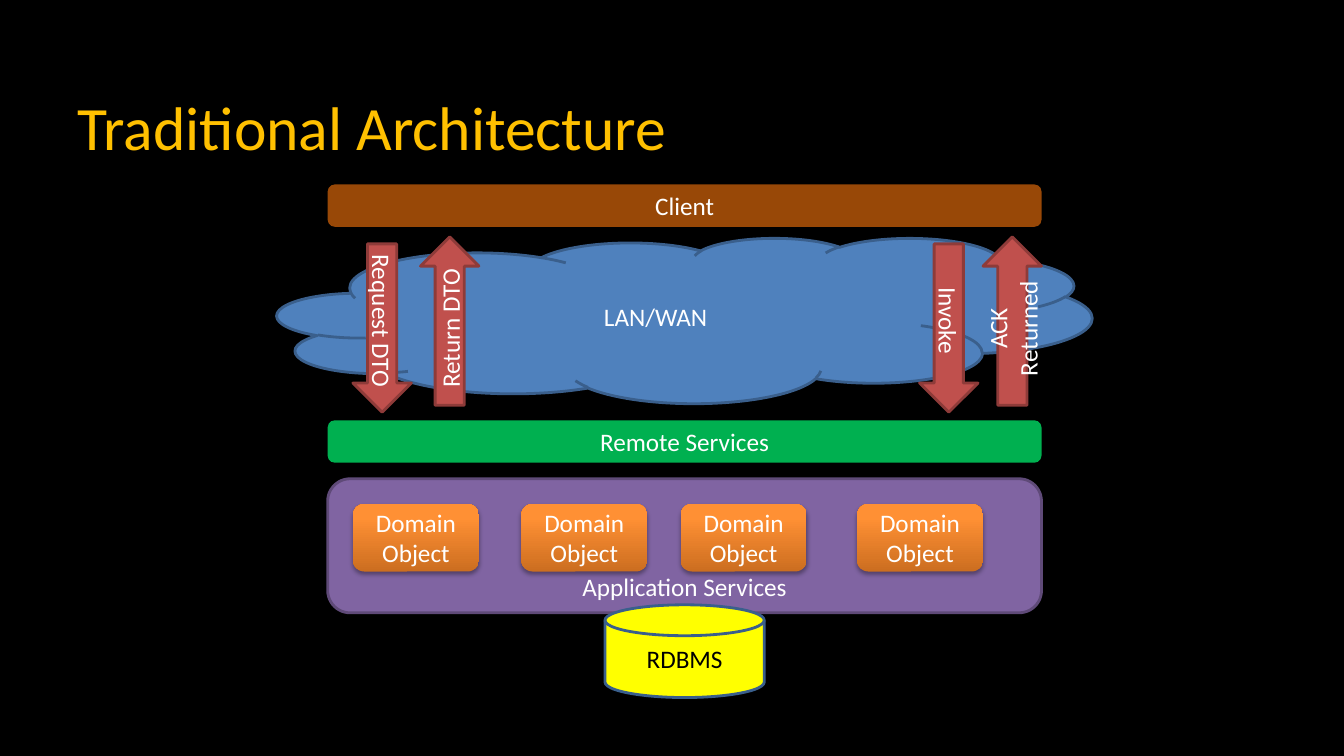
import copy

import pptx
import pptx.util
import pptx.dml.color
import pptx.enum.shapes
import pptx.enum.text
import pptx.oxml
import pptx.oxml.ns
from pptx.util import Inches

SHAPE = pptx.enum.shapes.MSO_SHAPE
ANCHOR = pptx.enum.text.MSO_ANCHOR
ALIGN = pptx.enum.text.PP_ALIGN

WHITE = "FFFFFF"
BLUE_LINE = "3A5F8C"
DOMAIN_STOPS = [(0, "CC6E20"), (0.8, "FF9034"), (1, "FF9136")]
STACK_LEFT, STACK_WIDTH = 3.25, 7.08


def rgb(color):
    return pptx.dml.color.RGBColor.from_string(color)


def write(sp, text, size=18, color=WHITE, align=ALIGN.CENTER, anchor=ANCHOR.MIDDLE):
    tf = sp.text_frame
    tf.word_wrap = True
    tf.vertical_anchor = anchor
    p = tf.paragraphs[0]
    p.text = text
    p.alignment = align
    p.font.name = "Calibri"
    p.font.size = pptx.util.Pt(size)
    p.font.color.rgb = rgb(color)


def add_block(slide, kind, box, text, fill=None, line=None, color=WHITE, anchor=ANCHOR.MIDDLE):
    sp = slide.shapes.add_shape(kind, *map(Inches, box))
    if fill:
        sp.fill.solid()
        sp.fill.fore_color.rgb = rgb(fill)
    if line:
        sp.line.color.rgb = rgb(line)
        sp.line.width = pptx.util.Pt(2)
    else:
        sp.line.fill.background()
    sp.shadow.inherit = False
    write(sp, text, color=color, anchor=anchor)
    return sp


def add_drop_shadow(sp):
    effects = sp._element.spPr.find(pptx.oxml.ns.qn("a:effectLst"))
    effects.append(pptx.oxml.parse_xml(
        f'<a:outerShdw {pptx.oxml.ns.nsdecls("a")} blurRad="40000" dist="23000" '
        'dir="5400000" rotWithShape="0"><a:srgbClr val="000000">'
        '<a:alpha val="35000"/></a:srgbClr></a:outerShdw>'))


def add_layer_bar(slide, top, text, fill):
    sp = add_block(slide, SHAPE.ROUNDED_RECTANGLE,
                   (STACK_LEFT, top, STACK_WIDTH, 0.42), text, fill)
    add_drop_shadow(sp)


def add_domain_object(slide, left):
    sp = add_block(slide, SHAPE.ROUNDED_RECTANGLE, (left, 5, 1.25, 0.67), "Domain Object")
    sp.fill.gradient()
    sp.fill.gradient_angle = 90
    stops = sp._element.spPr.find(".//" + pptx.oxml.ns.qn("a:gsLst"))
    stops.append(copy.deepcopy(stops[-1]))
    for stop, (position, color) in zip(sp.fill.gradient_stops, DOMAIN_STOPS):
        stop.position = position
        stop.color.rgb = rgb(color)
    add_drop_shadow(sp)


def add_message_arrow(slide, left, text, upward):
    top = 2.35 if upward else 2.42
    sp = add_block(slide, SHAPE.DOWN_ARROW, (left, top, 0.58, 1.67), text, "C0504D", "8E3B39")
    sp.rotation = 180 if upward else 0
    sp.text_frame._txBody.bodyPr.set("vert", "vert")


def add_title(slide, text):
    sp = slide.shapes.add_textbox(*map(Inches, (0.67, 0.75, 12, 1)))
    write(sp, text, size=44, color="FFC000", align=ALIGN.LEFT)


def main():
    prs = pptx.Presentation()
    prs.slide_width, prs.slide_height = Inches(13.33), Inches(7.5)
    slide = prs.slides.add_slide(prs.slide_layouts[6])
    slide.background.fill.solid()
    slide.background.fill.fore_color.rgb = rgb("000000")

    add_block(slide, SHAPE.CLOUD, (2.75, 2.36, 8.08, 1.64), "LAN/WAN", "4F81BD", BLUE_LINE)
    add_title(slide, "Traditional Architecture")
    add_block(slide, SHAPE.ROUNDED_RECTANGLE, (STACK_LEFT, 4.75, STACK_WIDTH, 1.33),
              "Application Services", "8064A2", "5F4A78", anchor=ANCHOR.BOTTOM)
    for left in (3.5, 5.17, 6.75, 8.5):
        add_domain_object(slide, left)
    add_layer_bar(slide, 1.83, "Client", "984807")
    add_layer_bar(slide, 4.17, "Remote Services", "00B050")
    for left, text, upward in (
        (3.5, "Request DTO", False),
        (4.17, "Return DTO", True),
        (9.12, "Invoke", False),
        (9.75, "ACK Returned", True),
    ):
        add_message_arrow(slide, left, text, upward)
    add_block(slide, SHAPE.FLOWCHART_MAGNETIC_DISK, (6, 6, 1.58, 0.92), "RDBMS",
              "FFFF00", BLUE_LINE, color="000000")

    prs.save("out.pptx")


if __name__ == "__main__":
    main()
